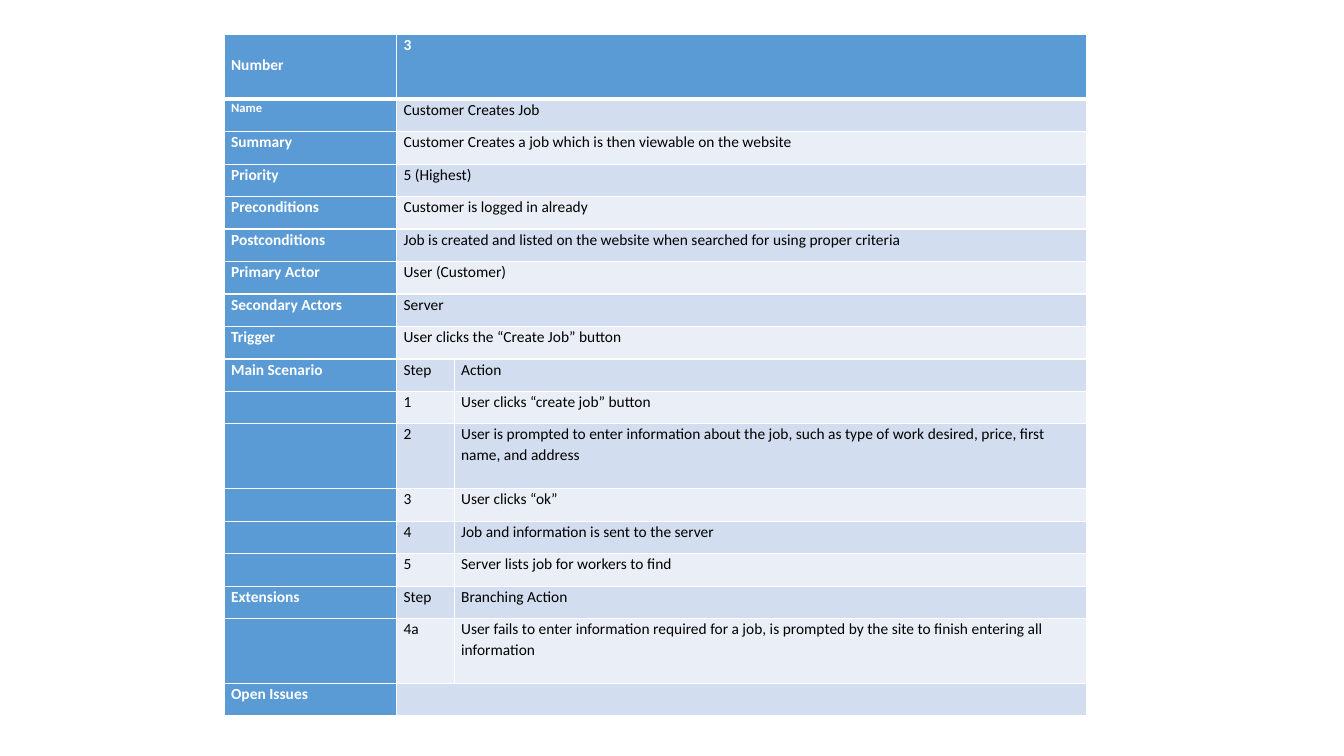
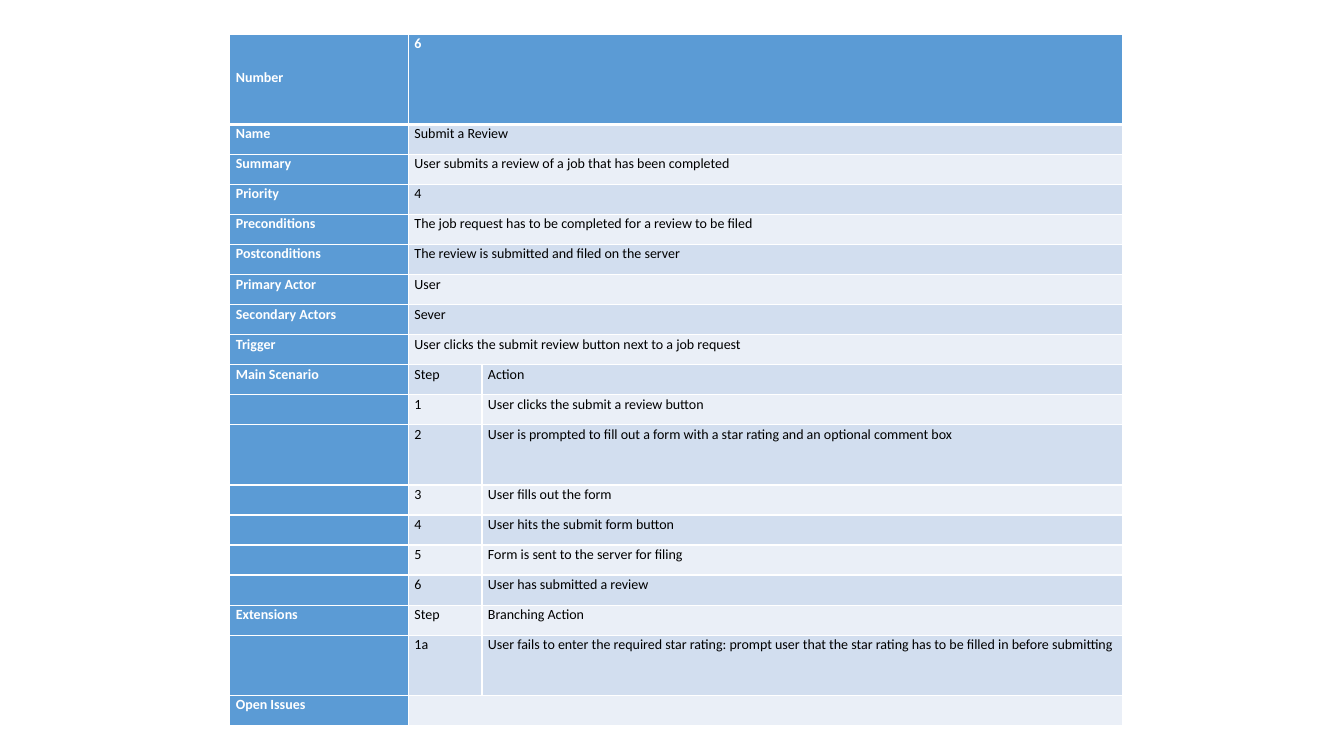
from dataclasses import dataclass

from lxml import etree
from pptx import Presentation
from pptx.dml.color import RGBColor
from pptx.enum.text import MSO_ANCHOR
from pptx.oxml.ns import qn
from pptx.util import Inches, Pt

MIDDLE, TOP = MSO_ANCHOR.MIDDLE, MSO_ANCHOR.TOP


@dataclass(frozen=True)
class Theme:
    font: str = "Calibri"
    blue: str = "5B9BD5"
    bands: tuple = ("D2DEEF", "EAEFF7")
    white: str = "FFFFFF"
    black: str = "000000"
    thin: float = 1
    thick: float = 3
    lead: float = 1.07
    lift: float = 0.05
    wrap: int = 60


THEME = Theme()
WIDE, HIGH = Inches(13.33), Inches(7.5)
LABELS = ("Name", "Summary", "Priority", "Preconditions", "Postconditions",
          "Primary Actor", "Secondary Actors", "Trigger")


@dataclass(frozen=True)
class Case:
    box: tuple
    cols: tuple
    head: int
    size: float
    small: float
    inset: float
    number: str
    facts: tuple
    steps: tuple
    branch: tuple


JOB = Case(
    box=(16.67, 4.53, 64.2, 90.27), cols=(3, 1, 11), head=2,
    size=11, small=9, inset=0.07, number="3",
    facts=("Customer Creates Job",
           "Customer Creates a job which is then viewable on the website",
           "5 (Highest)",
           "Customer is logged in already",
           "Job is created and listed on the website when searched for using proper criteria",
           "User (Customer)",
           "Server",
           "User clicks the “Create Job” button"),
    steps=("User clicks “create job” button",
           "User is prompted to enter information about the job, such as type of work "
           "desired, price, first name, and address",
           "User clicks “ok”",
           "Job and information is sent to the server",
           "Server lists job for workers to find"),
    branch=("4a", "User fails to enter information required for a job, is prompted by "
                  "the site to finish entering all information"))

REVIEW = Case(
    box=(17.1, 4.53, 66.45, 91.47), cols=(17, 7, 61), head=3,
    size=10, small=10, inset=0.06, number="6",
    facts=("Submit a Review",
           "User submits a review of a job that has been completed",
           "4",
           "The job request has to be completed for a review to be filed",
           "The review is submitted and filed on the server",
           "User",
           "Sever",
           "User clicks the submit review button next to a job request"),
    steps=("User clicks the submit a review button",
           "User is prompted to fill out a form with a star rating and an optional comment box",
           "User fills out the form",
           "User hits the submit form button",
           "Form is sent to the server for filing",
           "User has submitted a review"),
    branch=("1a", "User fails to enter the required star rating: prompt user that the "
                  "star rating has to be filled in before submitting"))


def list_rows(case):
    rows = [("Number", case.number, None)]
    rows += [(label, fact, None) for label, fact in zip(LABELS, case.facts)]
    rows.append(("Main Scenario", "Step", "Action"))
    rows += [("", str(n), step) for n, step in enumerate(case.steps, 1)]
    rows += [("Extensions", "Step", "Branching Action"), ("", *case.branch),
             ("Open Issues", "", None)]
    return rows


def rule_cell(cell, top, base):
    props = cell._tc.get_or_add_tcPr()
    sides = (("L", THEME.thin), ("R", THEME.thin), ("T", top), ("B", base))
    for side, width in sides:
        line = etree.SubElement(props, qn(f"a:ln{side}"), w=str(Pt(width)))
        fill = etree.SubElement(line, qn("a:solidFill"))
        etree.SubElement(fill, qn("a:srgbClr"), val=THEME.white)


def style_cell(cell, text, size, fill, bold, inset):
    cell.margin_left = cell.margin_right = Inches(inset)
    cell.margin_top = cell.margin_bottom = 0
    cell.vertical_anchor = TOP
    cell.fill.solid()
    cell.fill.fore_color.rgb = RGBColor.from_string(fill)
    para = cell.text_frame.paragraphs[0]
    para.text = text
    para.line_spacing = THEME.lead
    for run in para.runs:
        run.font.name, run.font.size, run.font.bold = THEME.font, Pt(size), bold
        run.font.color.rgb = RGBColor.from_string(THEME.white if bold else THEME.black)
    if not text:
        etree.SubElement(para._p, qn("a:endParaRPr"), sz=str(int(size * 100)))


def draw_case(deck, case):
    slide = deck.slides.add_slide(deck.slide_layouts[6])
    left, top, width, height = (
        int(share * side / 100) for share, side in zip(case.box, (WIDE, HIGH) * 2))
    rows = list_rows(case)
    units = [2 if act and len(act) > THEME.wrap else 1 for _, _, act in rows]
    units[0] = case.head
    table = slide.shapes.add_table(
        len(rows), len(case.cols), left, top, width, height).table
    for col, part in zip(table.columns, case.cols):
        col.width = int(width * part / sum(case.cols))
    for r, (row, unit) in enumerate(zip(rows, units)):
        table.rows[r].height = int(height * unit / sum(units))
        if row[2] is None:
            table.cell(r, 1).merge(table.cell(r, 2))
        for c, text in enumerate(row):
            cell = table.cell(r, c)
            bold = r == 0 or c == 0
            fill = THEME.blue if bold else THEME.bands[(r - 1) % 2]
            size = case.small if text == "Name" else case.size
            rule_cell(cell, THEME.thick if r == 1 else THEME.thin,
                      THEME.thick if r == 0 else THEME.thin)
            style_cell(cell, text or "", size, fill, bold, case.inset)
    title = table.cell(0, 0)
    title.vertical_anchor = MIDDLE
    title.margin_bottom = Inches(THEME.lift)


def main():
    deck = Presentation()
    deck.slide_width, deck.slide_height = WIDE, HIGH
    for case in (JOB, REVIEW):
        draw_case(deck, case)
    deck.save("out.pptx")


if __name__ == "__main__":
    main()
